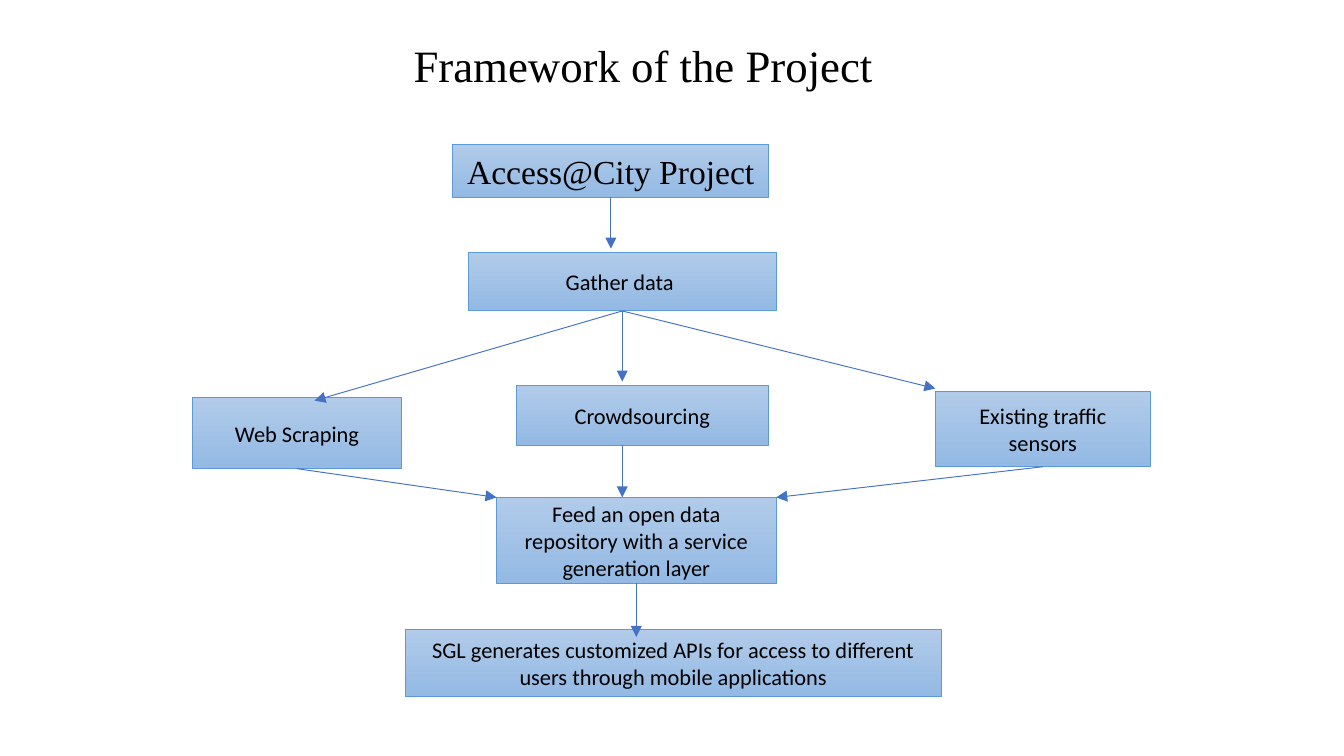
"""Build the project framework flowchart slide."""
from lxml import etree
from pptx import Presentation
from pptx import util as u
from pptx.dml.color import RGBColor
from pptx.enum import shapes, text
from pptx.oxml.ns import qn

WIDTH = u.Inches(10)
HEIGHT = WIDTH * 9 // 16
SERIF, SANS = "Times New Roman", "Calibri"
BLACK, OUTLINE, ARROW = "000000", "5B9BD5", "4472C4"
GRADIENT = ("B1CBE9", "93B9E4")
BOTTOM = 2

TITLE = ("Framework of the Project", (11.5, 3.38, 72.7, 11.2))
STEPS = {
    "project": ("Access@City Project", (33.7, 19.1, 23.5, 6.98), SERIF, 18),
    "gather": ("Gather data ", (34.85, 33.4, 22.9, 7.74), SANS, 12),
    "scraping": ("Web Scraping", (14.35, 52.6, 15.5, 9.4), SANS, 12),
    "crowd": ("Crowdsourcing", (38.45, 51.05, 18.7, 7.82), SANS, 12),
    "sensors": ("Existing traffic sensors", (69.6, 51.78, 16, 9.96), SANS, 12),
    "feed": ("Feed an open data repository with a service generation layer",
             (36.95, 65.8, 20.8, 11.38), SANS, 12),
    "apis": ("SGL generates customized APIs for access to different users "
             "through mobile applications", (30.15, 83.25, 39.9, 8.9), SANS, 12),
}
ARROWS = [
    ("project", (45.45, 32.89)),
    ("gather", (23.4, 53)),
    ("gather", (46.3, 50.49)),
    ("gather", (69.6, 51.4)),
    ((46.3, 58.84), (46.3, 65.8)),
    ("feed", (47.35, 84.27)),
    ("scraping", (36.95, 65.8)),
    ("sensors", (57.75, 65.8)),
]


def color(value):
    return RGBColor.from_string(value)


def place(*shares):
    return [int(share * (HEIGHT if index % 2 else WIDTH) / 100)
            for index, share in enumerate(shares)]


def write(box, wording, font, size):
    frame = box.text_frame
    frame.text = wording
    frame.word_wrap = True
    frame.auto_size = text.MSO_AUTO_SIZE.NONE
    frame.vertical_anchor = text.MSO_ANCHOR.MIDDLE
    para = frame.paragraphs[0]
    para.alignment = text.PP_ALIGN.CENTER
    para.font.name, para.font.size = font, u.Pt(size)
    para.font.color.rgb = color(BLACK)
    return para


def add_title(page):
    wording, area = TITLE
    box = page.shapes.title
    box.left, box.top, box.width, box.height = place(*area)
    write(box, wording, SERIF, 24).line_spacing = 0.9
    frame = box.text_frame
    frame.margin_left = frame.margin_right = u.Inches(0.1)
    frame.margin_top = frame.margin_bottom = u.Inches(0.1)


def add_step(page, wording, area, font, size):
    box = page.shapes.add_shape(shapes.MSO_SHAPE.RECTANGLE, *place(*area))
    box.shadow.inherit = False
    box.fill.gradient()
    box.fill.gradient_angle = 270
    for stop, value in zip(box.fill.gradient_stops, GRADIENT):
        stop.color.rgb = color(value)
    box.line.color.rgb = color(OUTLINE)
    box.line.width = u.Pt(0.5)
    write(box, wording, font, size)
    return box


def add_arrow(page, boxes, start, end):
    joined = start in boxes
    first = end if joined else start
    line = page.shapes.add_connector(
        shapes.MSO_CONNECTOR.STRAIGHT, *place(*first, *end))
    if joined:
        line.begin_connect(boxes[start], BOTTOM)
    line.line.color.rgb = color(ARROW)
    line.line.width = u.Pt(0.5)
    etree.SubElement(line.line._get_or_add_ln(), qn("a:tailEnd"), type="triangle")
    etree.SubElement(line._element.spPr, qn("a:effectLst"))


def main():
    deck = Presentation()
    deck.slide_width, deck.slide_height = WIDTH, HEIGHT
    page = deck.slides.add_slide(deck.slide_layouts[5])
    add_title(page)
    boxes = {name: add_step(page, *step) for name, step in STEPS.items()}
    for start, end in ARROWS:
        add_arrow(page, boxes, start, end)
    deck.save("out.pptx")


if __name__ == "__main__":
    main()
